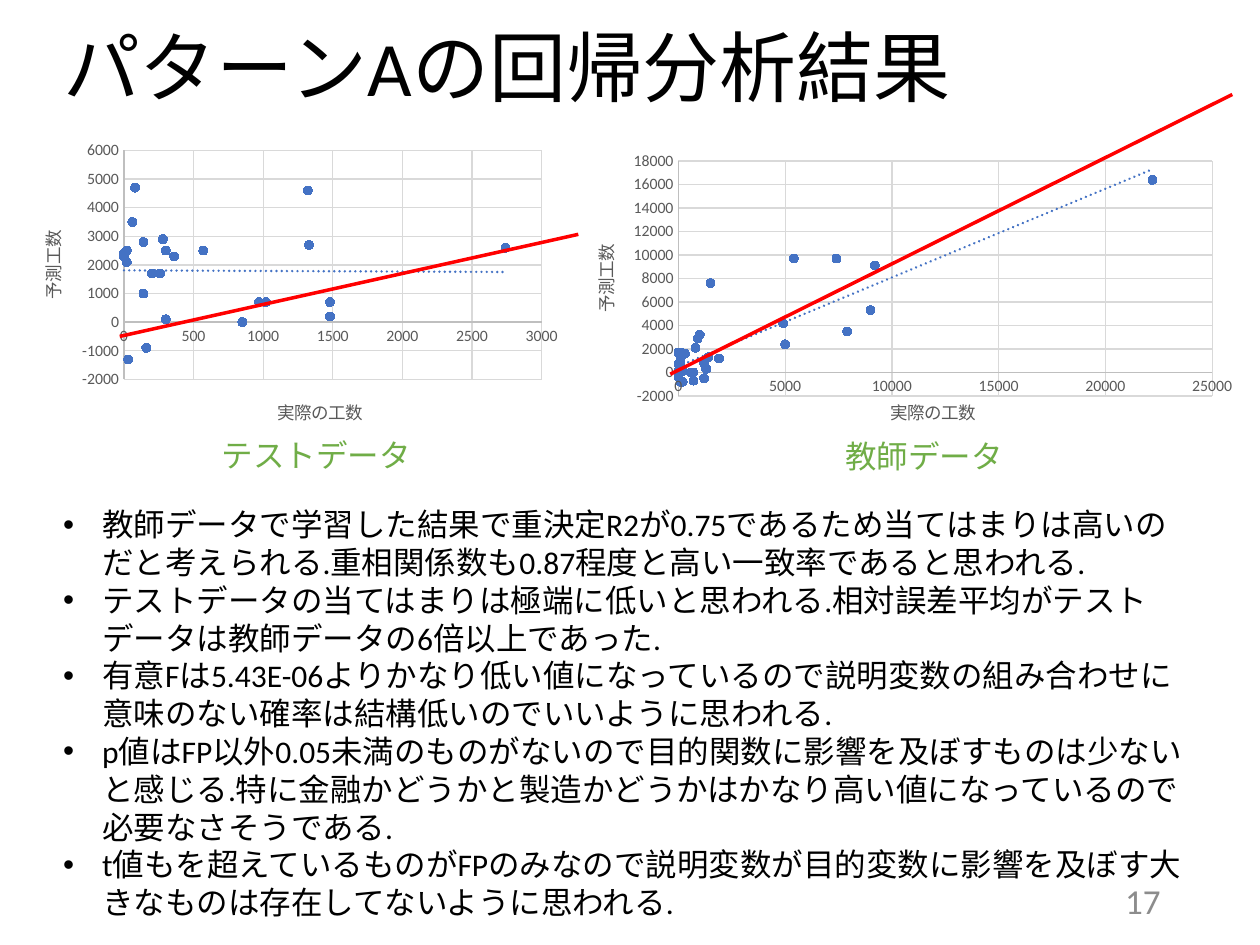
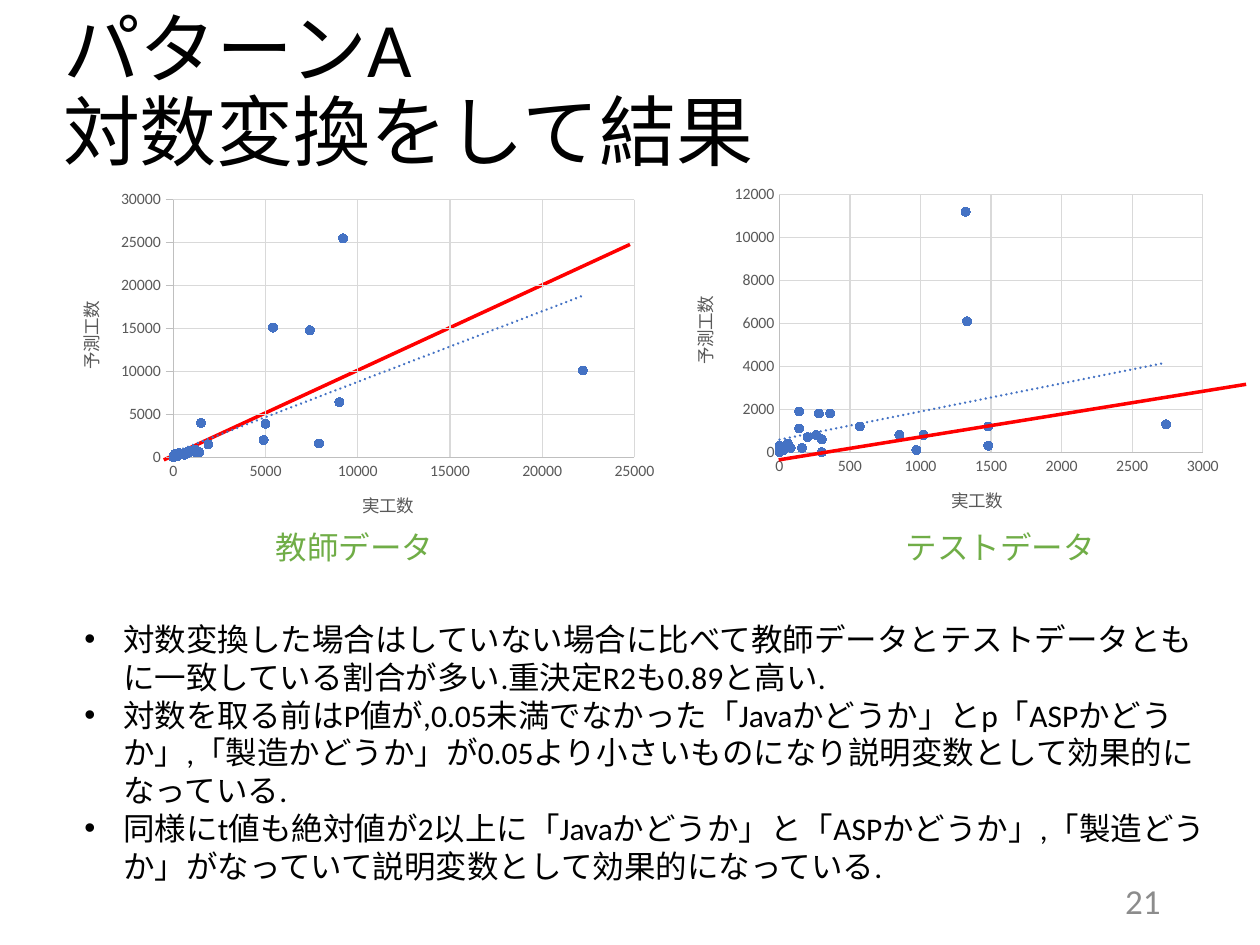
from pptx import Presentation
from pptx.chart.data import XyChartData
from pptx.dml.color import RGBColor
from pptx.enum.chart import XL_CHART_TYPE, XL_MARKER_STYLE, XL_TICK_MARK
from pptx.enum.shapes import MSO_CONNECTOR
from pptx.enum.text import MSO_ANCHOR, MSO_AUTO_SIZE, PP_ALIGN
from pptx.oxml import parse_xml
from pptx.oxml.ns import nsdecls, qn
from pptx.util import Inches, Pt

FONT = "Calibri"
BLACK, GREEN, RED, BLUE = "000000", "70AD47", "FF0000", "4472C4"
NUMBER_GRAY, LABEL_GRAY, AXIS_GRAY, GRID_GRAY = "8C8C8C", "595959", "BFBFBF", "D9D9D9"

TEST_ACTUAL = [140, 2740, 1480, 160, 300, 30, 1480, 1020, 570, 140, 200, 20, 80,
               300, 0, 20, 60, 260, 850, 970, 280, 1330, 360, 0, 1320]
TRAINING_ACTUAL = [100, 0, 100, 0, 100, 700, 0, 100, 4900, 5400, 1200, 600, 0, 0,
                   1300, 100, 100, 1200, 22200, 900, 100, 700, 7400, 0, 1200, 0,
                   100, 1500, 0, 300, 800, 5000, 200, 200, 7900, 1400, 9000, 1000,
                   1900, 9200]
TEST_LINEAR = [2800, 2600, 700, -900, 100, -1300, 200, 700, 2500, 1000, 1700, 2500,
               4700, 2500, 2400, 2100, 3500, 1700, 0, 700, 2900, 2700, 2300, 2300,
               4600]
TRAINING_LINEAR = [1700, 0, 100, 1700, 800, -700, 700, -700, 4200, 9700, 900, 0, 100,
                   -400, 300, 1200, 900, 800, 16400, 2900, 1200, 0, 9700, 700, -500,
                   -300, -800, 7600, -200, 1600, 2100, 2400, -800, 100, 3500, 1300,
                   5300, 3200, 1200, 9100]
TEST_LOG = [1900, 1300, 1200, 200, 0, 100, 300, 800, 1200, 1100, 700, 100, 200, 600,
            300, 100, 400, 800, 800, 100, 1800, 6100, 1800, 0, 11200]
TRAINING_LOG = [100, 0, 100, 100, 200, 400, 0, 200, 2000, 15100, 600, 300, 0, 100,
                600, 400, 100, 800, 10100, 600, 100, 500, 14800, 0, 900, 0, 100,
                4000, 0, 500, 700, 3900, 100, 200, 1600, 600, 6400, 800, 1500, 25500]
TEST_RANGE = (0, 3000, 500)
TRAINING_RANGE = (0, 25000, 5000)


def color(value):
    """Turn a hex string into a colour."""
    return RGBColor.from_string(value)


def box(left, top, width, height):
    """Turn four numbers in inches into lengths."""
    return Inches(left), Inches(top), Inches(width), Inches(height)


def set_font(font, size, value):
    """Give a font the shared typeface, a size and a colour."""
    font.name = FONT
    font.size = Pt(size)
    font.color.rgb = color(value)


class Deck:
    """Hold the shared style and the current slide."""

    def __init__(self):
        """Start an empty 4:3 presentation."""
        self.presentation = Presentation()
        self.presentation.slide_width = Inches(10)
        self.presentation.slide_height = Inches(7.5)
        self.slide = None

    def add_slide(self, title, title_height, number):
        """Add a slide with its title and page number."""
        self.slide = self.presentation.slides.add_slide(
            self.presentation.slide_layouts[1])
        shape = self.slide.shapes.title
        shape.left, shape.top, shape.width, shape.height = box(
            0.4, 0.02, 9.2, title_height)
        frame = shape.text_frame
        frame.text = title
        frame.auto_size = MSO_AUTO_SIZE.NONE
        frame.vertical_anchor = MSO_ANCHOR.MIDDLE
        paragraph = frame.paragraphs[0]
        paragraph.alignment = PP_ALIGN.LEFT
        paragraph.line_spacing = 0.9
        set_font(paragraph.font, 44, BLACK)
        self.add_text(str(number), (7.06, 6.95, 2.25, 0.4), 20, NUMBER_GRAY,
                      PP_ALIGN.RIGHT, MSO_ANCHOR.MIDDLE)

    def add_text(self, text, place, size, value, alignment=PP_ALIGN.LEFT,
                 anchor=MSO_ANCHOR.TOP):
        """Add one line of text in a text box."""
        frame = self.slide.shapes.add_textbox(*box(*place)).text_frame
        frame.word_wrap = True
        frame.vertical_anchor = anchor
        frame.text = text
        paragraph = frame.paragraphs[0]
        paragraph.alignment = alignment
        set_font(paragraph.font, size, value)

    def add_caption(self, text, left, top):
        """Add a green caption under a chart."""
        self.add_text(text, (left, top, 1.89, 0.4), 18, GREEN)

    def add_bullets(self, items, place):
        """Fill the body placeholder with a bulleted list."""
        shape = self.slide.placeholders[1]
        shape.left, shape.top, shape.width, shape.height = box(*place)
        frame = shape.text_frame
        frame.text = "\n".join(items)
        frame.auto_size = MSO_AUTO_SIZE.NONE
        frame.vertical_anchor = MSO_ANCHOR.TOP
        for paragraph in frame.paragraphs:
            paragraph.space_before = Pt(0)
            paragraph.line_spacing = 1.0
            set_font(paragraph.font, 18, BLACK)
            properties = paragraph._p.get_or_add_pPr()
            properties.set("marL", str(Inches(0.31)))
            properties.set("indent", str(-Inches(0.31)))

    def add_line(self, start, end):
        """Add a red reference line."""
        line = self.slide.shapes.add_connector(
            MSO_CONNECTOR.STRAIGHT, *box(*start, *end))
        line.line.color.rgb = color(RED)
        line.line.width = Pt(2)
        line._element.spPr.append(parse_xml(f"<a:effectLst {nsdecls('a')}/>"))

    def style_axis(self, axis, title, limits, tick=XL_TICK_MARK.NONE):
        """Format one axis, with limits as minimum, maximum and step."""
        axis.minimum_scale, axis.maximum_scale, axis.major_unit = limits
        axis.major_tick_mark = tick
        axis.minor_tick_mark = XL_TICK_MARK.NONE
        axis.has_major_gridlines = True
        for line, value in ((axis.format.line, AXIS_GRAY),
                            (axis.major_gridlines.format.line, GRID_GRAY)):
            line.color.rgb = color(value)
            line.width = Pt(0.75)
        set_font(axis.tick_labels.font, 9, LABEL_GRAY)
        frame = axis.axis_title.text_frame
        frame.text = title
        set_font(frame.paragraphs[0].font, 10, LABEL_GRAY)
        frame.paragraphs[0].font.bold = False

    def add_trendline(self, series):
        """Add a dotted linear trend line to a series."""
        trendline = parse_xml(
            f"<c:trendline {nsdecls('c', 'a')}><c:spPr><a:ln w='{Pt(1.5)}' cap='rnd'>"
            f"<a:solidFill><a:srgbClr val='{BLUE}'/></a:solidFill>"
            "<a:prstDash val='sysDot'/></a:ln></c:spPr>"
            "<c:trendlineType val='linear'/><c:dispRSqr val='0'/>"
            "<c:dispEq val='0'/></c:trendline>")
        series._element.find(qn("c:xVal")).addprevious(trendline)

    def set_plot(self, chart, plot):
        """Place the inner plot area by fractions and clear the backgrounds."""
        chart_element = chart._chartSpace.find(qn("c:chart"))
        area = chart_element.find(qn("c:plotArea"))
        for layout in area.findall(qn("c:layout")):
            area.remove(layout)
        values = "".join(f"<c:{name} val='{value}'/>"
                         for name, value in zip("xywh", plot))
        area.insert(0, parse_xml(
            f"<c:layout {nsdecls('c')}><c:manualLayout>"
            "<c:layoutTarget val='inner'/><c:xMode val='edge'/>"
            f"<c:yMode val='edge'/>{values}</c:manualLayout></c:layout>"))
        clear = (f"<c:spPr {nsdecls('c', 'a')}><a:noFill/>"
                 "<a:ln><a:noFill/></a:ln></c:spPr>")
        area.append(parse_xml(clear))
        chart_element.addnext(parse_xml(clear))

    def add_scatter(self, place, plot, actual, predicted, x_limits, y_limits,
                    x_title, tick=XL_TICK_MARK.NONE):
        """Add a scatter chart of predicted against actual effort."""
        data = XyChartData()
        points = data.add_series("Series 1")
        for x, y in zip(actual, predicted):
            points.add_data_point(x, y)
        chart = self.slide.shapes.add_chart(
            XL_CHART_TYPE.XY_SCATTER, *box(*place), data).chart
        chart.has_title = False
        chart.has_legend = False
        set_font(chart.font, 10, BLACK)
        chart.plots[0].vary_by_categories = False
        self.style_axis(chart.category_axis, x_title, x_limits)
        self.style_axis(chart.value_axis, "予測工数", y_limits, tick)
        series = chart.plots[0].series[0]
        series.format.line.fill.background()
        marker = series.marker
        marker.style = XL_MARKER_STYLE.CIRCLE
        marker.size = 5
        marker.format.fill.solid()
        marker.format.fill.fore_color.rgb = color(BLUE)
        marker.format.line.color.rgb = color(BLUE)
        self.add_trendline(series)
        self.set_plot(chart, plot)


def add_linear_slide(deck):
    """Build the slide with the plain regression results."""
    deck.add_slide("パターンAの回帰分析結果", 1.1, 17)
    deck.add_scatter((0.1, 1.07, 4.42, 2.49), (0.2, 0.05, 0.75, 0.73),
                     TEST_ACTUAL, TEST_LINEAR, TEST_RANGE, (-2000, 6000, 1000),
                     "実際の工数")
    deck.add_bullets([
        "教師データで学習した結果で重決定R2が0.75であるため当てはまりは高いのだと考えられる."
        "重相関係数も0.87程度と高い一致率であると思われる.".replace(".", "."),
        "テストデータの当てはまりは極端に低いと思われる.相対誤差平均が"
        "テストデータは教師データの6倍以上であった.",
        "有意Fは5.43E-06よりかなり低い値になっているので説明変数の組み合わせに"
        "意味のない確率は結構低いのでいいように思われる.",
        "p値はFP以外0.05未満のものがないので目的関数に影響を及ぼすものは少ないと感じる."
        "特に金融かどうかと製造かどうかはかなり高い値になっているので必要なさそうである.",
        "t値もを超えているものがFPのみなので説明変数が目的変数に影響を及ぼす"
        "大きなものは存在してないように思われる.",
    ], (0.4, 3.96, 9.2, 3.43))
    deck.add_line((0.95, 2.67), (4.59, 1.86))
    deck.add_scatter((4.67, 1.19, 5.11, 2.22), (0.14, 0.04, 0.83, 0.84),
                     TRAINING_ACTUAL, TRAINING_LINEAR, TRAINING_RANGE,
                     (-2000, 18000, 2000), "実際の工数")
    deck.add_line((5.32, 2.97), (9.78, 0.75))
    deck.add_caption("テストデータ", 1.66, 3.41)
    deck.add_caption("教師データ", 6.61, 3.42)


def add_log_slide(deck):
    """Build the slide with the results after the log transform."""
    deck.add_slide("パターンA\v対数変換をして結果", 1.45, 21)
    deck.add_bullets([
        "対数変換した場合はしていない場合に比べて教師データとテストデータともに"
        "一致している割合が多い.重決定R2も0.89と高い.",
        "対数を取る前はP値が,0.05未満でなかった「Javaかどうか」とp「ASPかどうか」,"
        "「製造かどうか」が0.05より小さいものになり説明変数として効果的になっている.",
        "同様にt値も絶対値が2以上に「Javaかどうか」と「ASPかどうか」,"
        "「製造どうか」がなっていて説明変数として効果的になっている.",
    ], (0.57, 4.87, 9.2, 2.52))
    deck.add_scatter((5.29, 1.43, 4.48, 2.88), (0.2, 0.04, 0.75, 0.71),
                     TEST_ACTUAL, TEST_LOG, TEST_RANGE, (0, 12000, 2000), "実工数")
    deck.add_line((1.3, 3.65), (5, 1.94))
    deck.add_scatter((0.4, 1.47, 4.88, 2.88), (0.2, 0.04, 0.75, 0.71),
                     TRAINING_ACTUAL, TRAINING_LOG, TRAINING_RANGE,
                     (0, 30000, 5000), "実工数", XL_TICK_MARK.OUTSIDE)
    deck.add_line((6.18, 3.65), (9.89, 3.05))
    deck.add_caption("テストデータ", 7.09, 4.14)
    deck.add_caption("教師データ", 2.09, 4.14)


deck = Deck()
add_linear_slide(deck)
add_log_slide(deck)
deck.presentation.save("out.pptx")
